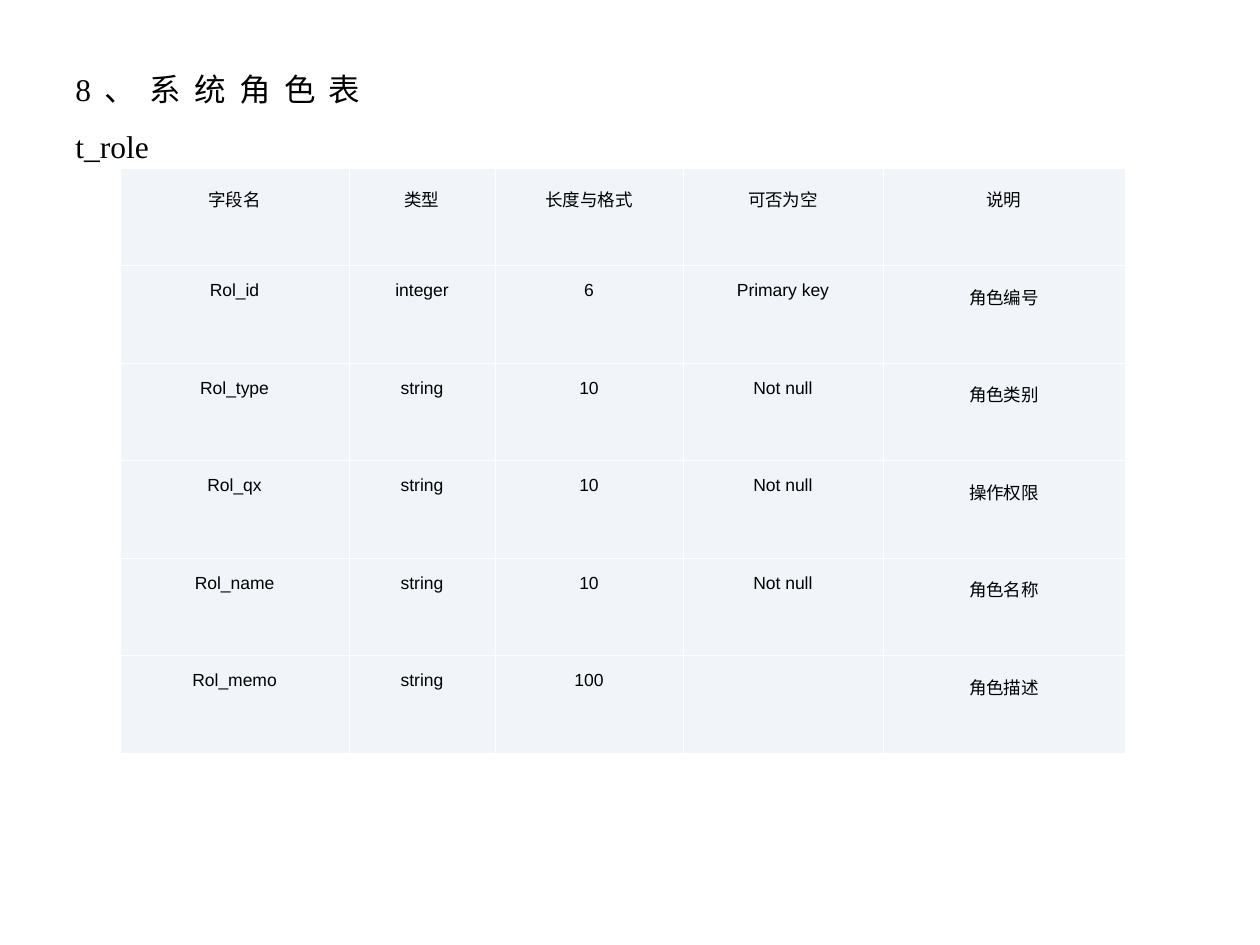
from lxml import etree
from pptx import Presentation
from pptx.dml.color import RGBColor
from pptx.enum.text import MSO_AUTO_SIZE, PP_ALIGN
from pptx.oxml.ns import qn
from pptx.util import Emu, Pt

PX = 914400 // 126
BLACK = RGBColor(0x00, 0x00, 0x00)
WHITE = RGBColor(0xFF, 0xFF, 0xFF)
PALE_BLUE = RGBColor(0xF1, 0xF5, 0xFA)
CENTER, JUSTIFY = PP_ALIGN.CENTER, PP_ALIGN.JUSTIFY
GROW = MSO_AUTO_SIZE.SHAPE_TO_FIT_TEXT

COLUMN_WIDTHS = [229, 146, 188, 200, 242]
ROLE_FIELDS = [
    ["字段名", "类型", "长度与格式", "可否为空", "说明"],
    ["Rol_id", "integer", "6", "Primary key", "角色编号"],
    ["Rol_type", "string", "10", "Not null", "角色类别"],
    ["Rol_qx", "string", "10", "Not null", "操作权限"],
    ["Rol_name", "string", "10", "Not null", "角色名称"],
    ["Rol_memo", "string", "100", "", "角色描述"],
]


def px(n):
    return Emu(n * PX)


class SlideBuilder:
    title_font, title_size = "Times New Roman", Pt(18)
    cell_font, cell_size = "Arial", Pt(10)
    line_spacing = 1.5
    border_width = Pt(0.45)

    def __init__(self, slide):
        self.slide = slide

    def set_text(self, tf, text, font, size, align):
        p = tf.paragraphs[0]
        p.text = text
        p.alignment = align
        p.line_spacing = self.line_spacing
        for r in p.runs:
            r.font.name = font
            r.font.size = size
            r.font.color.rgb = BLACK

    def title(self, text, x, y, w, h):
        tf = self.slide.shapes.add_textbox(px(x), px(y), px(w), px(h)).text_frame
        tf.word_wrap = True
        tf.auto_size = GROW
        self.set_text(tf, text, self.title_font, self.title_size, JUSTIFY)

    def border(self, cell):
        tc_pr = cell._tc.get_or_add_tcPr()
        for side in ("a:lnL", "a:lnR", "a:lnT", "a:lnB"):
            ln = etree.SubElement(tc_pr, qn(side), w=str(int(self.border_width)))
            fill = etree.SubElement(ln, qn("a:solidFill"))
            etree.SubElement(fill, qn("a:srgbClr"), val=str(WHITE))

    def table(self, rows, widths, x, y, h):
        table = self.slide.shapes.add_table(
            len(rows), len(widths), px(x), px(y), px(sum(widths)), px(h)).table
        table.first_row = False
        table.horz_banding = False
        for column, width in zip(table.columns, widths):
            column.width = px(width)
        for i, row in enumerate(rows):
            for j, text in enumerate(row):
                cell = table.cell(i, j)
                cell.margin_left = cell.margin_right = px(10)
                cell.margin_top = cell.margin_bottom = px(6)
                self.border(cell)
                cell.fill.solid()
                cell.fill.fore_color.rgb = PALE_BLUE
                self.set_text(cell.text_frame, text,
                              self.cell_font, self.cell_size, CENTER)


def main():
    prs = Presentation()
    prs.slide_width, prs.slide_height = px(1260), px(945)
    s = SlideBuilder(prs.slides.add_slide(prs.slide_layouts[6]))

    # Heading
    s.title("8、系统角色表 t_role", 63, 45, 310, 69)

    # Role table definition
    s.table(ROLE_FIELDS, COLUMN_WIDTHS, 120, 168, 585)

    prs.save("out.pptx")


if __name__ == "__main__":
    main()
